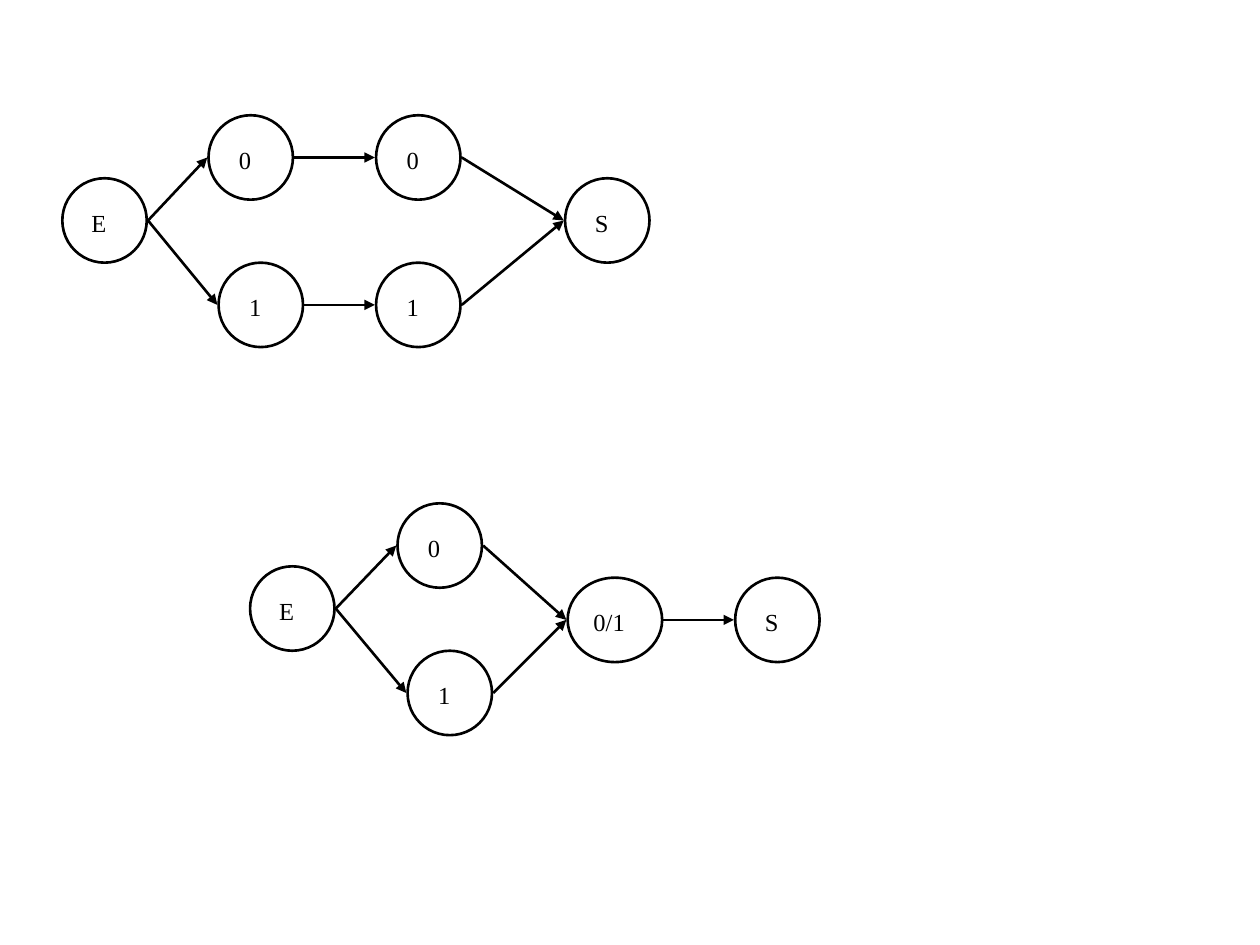
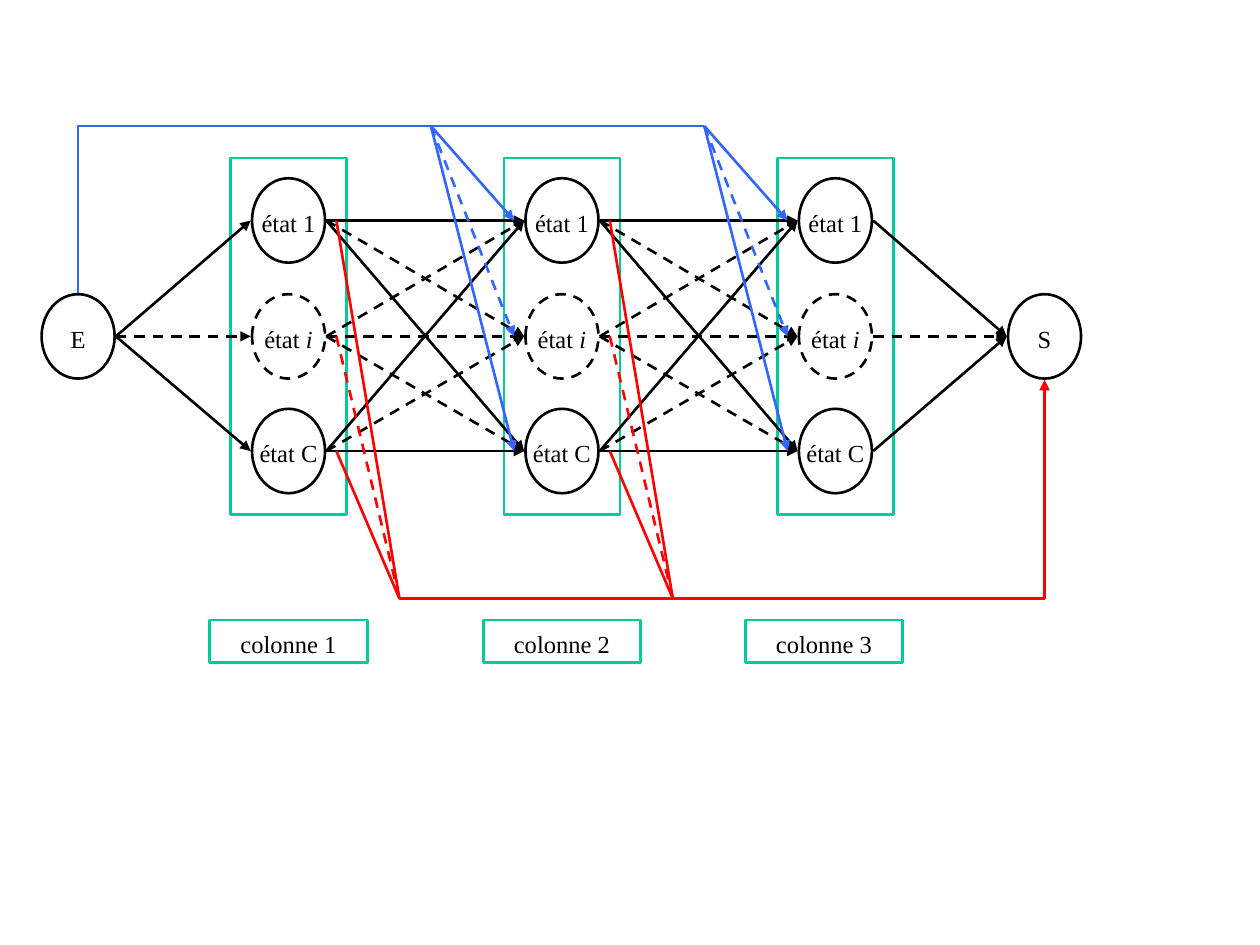
"""Two slides of state diagrams: merged paths, and a three-column state lattice."""
from itertools import product

from lxml import etree
from pptx import Presentation
from pptx.dml.color import RGBColor
from pptx.enum import dml, shapes, text
from pptx.oxml import ns
from pptx.util import Inches, Pt

COLORS = {"ink": "000000", "column": "00CC99", "entry": "3366FF", "exit": "FF0000"}
FONT, FONT_SIZE, LINE_WIDTH = "Times New Roman", 14, 1.5
NODE_H, LABEL_H, GAP = 0.67, 0.34, 0.01

CIRCLE_W, LABEL_SHIFT = 0.67, -0.045
GRAPHS = [
    {
        "nodes": {
            "start": ("E", 0.83, 1.75), "zero_a": ("0", 1.99, 1.25),
            "one_a": ("1", 2.07, 2.42), "one_b": ("1", 3.32, 2.42),
            "end": ("S", 4.82, 1.75), "zero_b": ("0", 3.32, 1.25),
        },
        "links": [("one_a", "one_b"), ("one_b", "end"), ("zero_a", "zero_b"),
                  ("start", "one_a"), ("start", "zero_a"), ("zero_b", "end")],
    },
    {
        "nodes": {
            "start": ("E", 2.32, 4.83), "zero": ("0", 3.49, 4.33),
            "one": ("1", 3.57, 5.5), "either": ("0/1", 4.88, 4.92),
            "end": ("S", 6.17, 4.92),
        },
        "links": [("one", "either"), ("either", "end"), ("zero", "either"),
                  ("start", "one"), ("start", "zero")],
    },
]

STATES = [(("état 1",), 1.75), (("état ", "i"), 2.67), (("état C",), 3.58)]
ROWS = [y for _, y in STATES]
MIDDLE = 1
COLUMNS = [2.29 + 2.17 * n for n in range(3)]
COLUMN_LABELS = [("colonne 1", 2.29), ("colonne 2", 4.46), ("colonne 3", 6.54)]
START_X, END_X = 0.62, 8.29
STATE_W, STATE_LABEL_W = 0.58, 0.75
ENTRY_Y, EXIT_Y = 1, 4.75


def style_line(line, color, dashed=False):
    line.color.rgb = RGBColor.from_string(COLORS[color])
    line.width = Pt(LINE_WIDTH)
    if dashed:
        line.dash_style = dml.MSO_LINE.DASH


def outline(parent, kind, cx, cy, w, h, color="ink", dashed=False):
    sp = parent.add_shape(kind, Inches(cx - w / 2), Inches(cy - h / 2), Inches(w), Inches(h))
    sp.shadow.inherit = False
    sp.fill.background()
    style_line(sp.line, color, dashed)
    return sp


def ellipse(parent, cx, cy, w, dashed=False):
    return outline(parent, shapes.MSO_SHAPE.OVAL, cx, cy, w, NODE_H, dashed=dashed)


def write(sp, parts):
    tf = sp.text_frame
    tf.word_wrap = True
    tf.vertical_anchor = text.MSO_ANCHOR.TOP
    tf.margin_left = tf.margin_right = Inches(0.1)
    tf.margin_top, tf.margin_bottom = Inches(0.07), Inches(0.03)
    p = tf.paragraphs[0]
    p.alignment = text.PP_ALIGN.CENTER
    p.font.name, p.font.size = FONT, Pt(FONT_SIZE)
    p.font.color.rgb = RGBColor.from_string(COLORS["ink"])
    for i, part in enumerate(parts):
        r = p.add_run()
        r.text = part
        if i:
            r.font.italic = True


def label(parent, parts, cx, cy, w):
    sp = parent.add_textbox(Inches(cx - w / 2), Inches(cy - LABEL_H / 2),
                            Inches(w), Inches(LABEL_H))
    write(sp, parts)


def connect(s, start, end, color="ink", dashed=False, arrow=True, bent=False):
    kind = shapes.MSO_CONNECTOR.ELBOW if bent else shapes.MSO_CONNECTOR.STRAIGHT
    c = s.shapes.add_connector(kind, *map(Inches, (*start, *end)))
    style_line(c.line, color, dashed)
    props = c._element.spPr
    if bent:
        props.find(ns.qn("a:prstGeom")).set("prst", "bentConnector2")
    if arrow:
        etree.SubElement(c.line._get_or_add_ln(), ns.qn("a:tailEnd"), type="triangle")
    etree.SubElement(props, ns.qn("a:effectLst"))


def draw_graph(s, graph):
    ports = {}
    for name, (caption, cx, cy) in graph["nodes"].items():
        wide = len(caption) > 1
        w = 0.75 if wide else CIRCLE_W
        group = s.shapes.add_group_shape().shapes
        ellipse(group, cx, cy, w)
        label(group, [caption], cx + LABEL_SHIFT, cy, 0.47 if wide else 0.42)
        ports[name] = (cx - w / 2 - GAP, cy), (cx + w / 2 + GAP, cy)
    for source, target in graph["links"]:
        connect(s, ports[source][1], ports[target][0])


def draw_lattice(s):
    layers = [[(START_X, MIDDLE, ("E",))]]
    layers += [[(x, row, parts) for row, (parts, _) in enumerate(STATES)] for x in COLUMNS]
    layers += [[(END_X, MIDDLE, ("S",))]]
    for x in COLUMNS:
        outline(s.shapes, shapes.MSO_SHAPE.RECTANGLE, x, ROWS[MIDDLE], 0.92, 2.83, "column")
    reach = STATE_W / 2 + GAP
    for left, right in zip(layers, layers[1:]):
        for (x1, a, _), (x2, b, _) in product(left, right):
            ends = [row for row, layer in ((a, left), (b, right)) if len(layer) > 1]
            connect(s, (x1 + reach, ROWS[a]), (x2 - reach, ROWS[b]), dashed=MIDDLE in ends)
    for layer in layers:
        for x, row, parts in layer:
            ellipse(s.shapes, x, ROWS[row], STATE_W, len(layer) > 1 and row == MIDDLE)
            label(s.shapes, parts, x, ROWS[row], STATE_LABEL_W)

    entries = [(x - 1.04, ENTRY_Y) for x in COLUMNS[1:]]
    exits = [(x + 0.88, EXIT_Y) for x in COLUMNS[:-1]]
    connect(s, entries[-1], (START_X, ROWS[MIDDLE] - NODE_H / 2 - GAP), "entry",
            arrow=False, bent=True)
    for hub, x in zip(entries, COLUMNS[1:]):
        for row, y in enumerate(ROWS):
            connect(s, hub, (x - 0.38, y), "entry", row == MIDDLE)
    connect(s, exits[0], (END_X, ROWS[MIDDLE] + NODE_H / 2 + GAP), "exit", bent=True)
    for hub, x in zip(exits, COLUMNS):
        for row, y in enumerate(ROWS):
            connect(s, (x + 0.38, y), hub, "exit", row == MIDDLE, arrow=False)
    for caption, x in COLUMN_LABELS:
        sp = outline(s.shapes, shapes.MSO_SHAPE.RECTANGLE, x, 5.09, 1.25, LABEL_H, "column")
        write(sp, [caption])


def main():
    prs = Presentation()
    prs.slide_width, prs.slide_height = Inches(10), Inches(7.5)
    blank = prs.slide_layouts[6]
    s = prs.slides.add_slide(blank)
    for graph in GRAPHS:
        draw_graph(s, graph)
    draw_lattice(prs.slides.add_slide(blank))
    prs.save("out.pptx")


if __name__ == "__main__":
    main()
